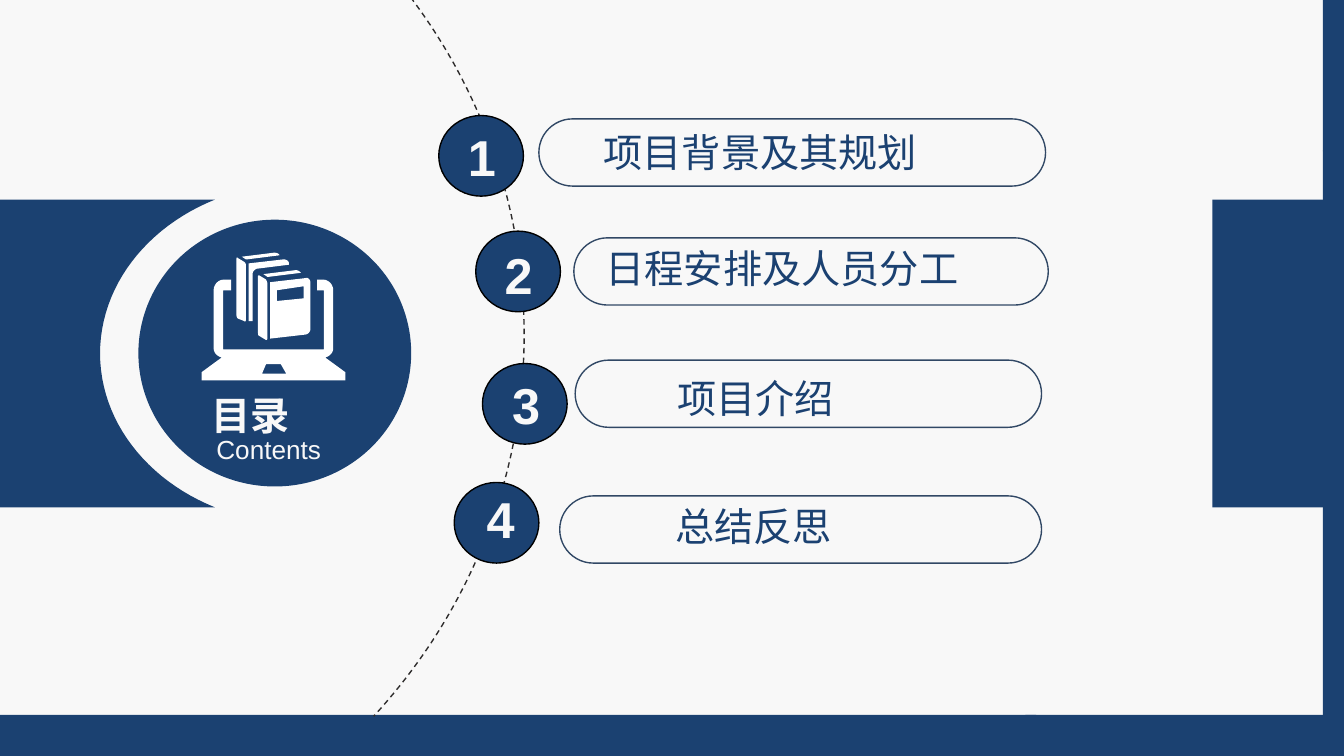
from lxml import etree
from pptx import Presentation
from pptx.dml.color import RGBColor
from pptx.enum.dml import MSO_LINE
from pptx.enum.shapes import MSO_SHAPE
from pptx.enum.text import MSO_ANCHOR, MSO_AUTO_SIZE, PP_ALIGN
from pptx.oxml.ns import qn
from pptx.util import Inches, Pt

RECT, OVAL, PILL = MSO_SHAPE.RECTANGLE, MSO_SHAPE.OVAL, MSO_SHAPE.ROUNDED_RECTANGLE
LEFT, MID, JUST = PP_ALIGN.LEFT, PP_ALIGN.CENTER, PP_ALIGN.JUSTIFY
TOP, FIXED, DASH = MSO_ANCHOR.TOP, MSO_AUTO_SIZE.NONE, MSO_LINE.DASH

THEME = {
    "navy": "1B4171", "pale": "F8F8F8", "white": "FFFFFF",
    "ring": "000000", "edge": "314865", "arc": "2E2C2C",
    "latin": "Arial", "asian": "Noto Sans CJK SC",
    "item": 21, "badge": 27, "small": 14,
}

# The grid is 100 columns wide; its cells are square, so a 16:9 slide has 56.25 rows.
COLS, ROWS = 100, 56.25
CELL = Inches(10) / COLS

deck = Presentation()
deck.slide_width, deck.slide_height = round(COLS * CELL), round(ROWS * CELL)
slide = deck.slides.add_slide(deck.slide_layouts[5])
shapes = slide.shapes
slide.background.fill.solid()
slide.background.fill.fore_color.rgb = RGBColor.from_string(THEME["pale"])


def paint(shape, fill=None, line=None, width=0.75):
    shape.shadow.inherit = False
    if fill:
        shape.fill.solid()
        shape.fill.fore_color.rgb = RGBColor.from_string(THEME[fill])
    else:
        shape.fill.background()
    if line:
        shape.line.color.rgb = RGBColor.from_string(THEME[line])
        shape.line.width = Pt(width)
    else:
        shape.line.fill.background()


def write(box, text, size="item", color="pale", bold=False, align=LEFT, wrap=True, inset=0.9):
    frame = box.text_frame
    frame.auto_size, frame.word_wrap = FIXED, wrap
    frame.vertical_anchor = TOP
    frame.margin_left, frame.margin_right = round(inset * CELL), round(0.9 * CELL)
    frame.margin_top = frame.margin_bottom = round(0.45 * CELL)
    para = frame.paragraphs[0]
    para.alignment = align
    run = para.add_run()
    run.text = text
    run.font.size, run.font.bold = Pt(THEME[size]), bold
    run.font.color.rgb = RGBColor.from_string(THEME[color])
    run.font.name = THEME["latin"]
    east = etree.SubElement(run._r.get_or_add_rPr(), qn("a:ea"))
    east.set("typeface", THEME["asian"])


# Frame bars, right block and title disc
for kind, box in [
    (RECT, (98.43, 0, 1.57, 11.25)),
    (RECT, (98.43, 11.2, 1.57, 45.05)),
    (RECT, (0, 53.2, 77.1, 3.05)),
    (RECT, (76.3, 53.2, 23.6, 3.05)),
    (RECT, (90.2, 14.85, 9.8, 22.9)),
    (OVAL, (10.3, 16.35, 20.3, 19.85)),
]:
    paint(shapes.add_shape(kind, *[round(n * CELL) for n in box]), "navy")

# Outlines: two numbers end a straight line, six give a curve
band = [[(16, 37.75), (0, 37.75), (0, 14.85), (16, 14.85),
         (10.9, 16.9, 7.45, 21.3, 7.45, 26.3), (7.45, 31.3, 10.9, 35.7, 16, 37.75)]]
arc = [[(27.8, -3.5), (34.8, 4.1, 39, 14, 39, 24.9), (39, 35.7, 34.8, 45.7, 27.8, 53.3)]]
icon = [
    # keyboard notch
    [(19.8, 27.1), (20.9, 27.1), (21.3, 27.8), (19.5, 27.8)],
    # back book: top, spine
    [(18, 19.1), (18.3, 19.3), (18.4, 19.3), (20.8, 19),
     (20.8, 18.9, 20.6, 18.8, 20.4, 18.8)],
    [(17.7, 19.2), (18.2, 19.5), (18.2, 19.5, 18.3, 19.6, 18.3, 19.7), (18.3, 23.8),
     (18.3, 23.9, 18.2, 24, 18.2, 23.9), (17.7, 23.7),
     (17.6, 23.6, 17.6, 23.5, 17.6, 23.4), (17.6, 19.3),
     (17.6, 19.2, 17.6, 19.1, 17.7, 19.2)],
    # front book: top, spine, cover, label
    [(19.6, 20.4), (19.9, 20.6), (20, 20.6), (22.4, 20.3),
     (22.3, 20.2, 22.2, 20.1, 22, 20.1)],
    [(19.3, 20.5), (19.8, 20.8), (19.8, 20.8, 19.9, 21, 19.9, 21.1), (19.9, 25.2),
     (19.9, 25.3, 19.8, 25.3, 19.8, 25.3), (19.3, 25),
     (19.2, 25, 19.2, 24.8, 19.2, 24.7), (19.2, 20.6),
     (19.2, 20.5, 19.2, 20.5, 19.3, 20.5)],
    [(20.1, 21), (22.7, 20.7), (22.9, 20.6, 23.1, 20.8, 23.1, 21), (23.1, 24.5),
     (23.1, 24.7, 22.9, 24.9, 22.7, 24.9), (20.1, 25.2)],
    [(20.6, 21.6), (22.6, 21.3), (22.6, 22.2), (20.6, 22.4)],
    # back cover
    [(18.5, 19.6), (21.1, 19.3), (21.3, 19.3, 21.5, 19.4, 21.5, 19.6), (21.5, 19.7),
     (19.1, 20), (18.9, 20.1, 18.8, 20.2, 18.8, 20.4), (18.8, 23.9), (18.5, 23.9)],
    # laptop
    [(16.6, 21.6), (17.2, 21.6), (17.2, 20.8), (16.7, 20.8),
     (16.2, 20.8, 15.9, 21.2, 15.9, 21.6), (15.9, 25.9),
     (15.9, 26.2, 16.1, 26.5, 16.5, 26.6), (15, 27.7), (15, 28.3), (25.7, 28.3),
     (25.7, 27.7), (24.2, 26.6), (24.6, 26.5, 24.8, 26.2, 24.8, 25.9), (24.8, 21.6),
     (24.8, 21.2, 24.5, 20.8, 24, 20.8), (23.6, 20.8), (23.6, 21.6), (24.1, 21.6),
     (24.1, 26), (16.6, 26)],
]
for loops, steps, fill, line in [
    (band, 24, "navy", None), (arc, 40, None, "arc"), (icon, 6, "white", None),
]:
    pen = None
    for loop in loops:
        points = [loop[0]]
        for part in loop[1:]:
            if len(part) == 2:
                points.append(part)
                continue
            knots = [points[-1], part[:2], part[2:4], part[4:]]
            for step in range(1, steps + 1):
                t = step / steps
                share = ((1 - t) ** 3, 3 * t * (1 - t) ** 2, 3 * t * t * (1 - t), t ** 3)
                points.append(tuple(sum(s * k[axis] for s, k in zip(share, knots))
                                    for axis in (0, 1)))
        points = [(x * CELL, y * CELL) for x, y in points]
        if pen is None:
            pen = shapes.build_freeform(*points[0])
        else:
            pen.move_to(*points[0])
        pen.add_line_segments(points[1:], close=fill is not None)
    shape = pen.convert_to_shape()
    paint(shape, fill, line, 0)
    if line:
        shape.line.dash_style = DASH

# Agenda: label, badge corner, pill (left, top, width), digit corner,
# label box (left, top, width) and its left inset
agenda = [
    ("项目背景及其规划", (32.65, 8.6), (40.1, 8.85, 37.7), (34, 8.9), (42.8, 9.1, 26.8), 2.1),
    ("日程安排及人员分工", (35.4, 17.2), (42.7, 17.7, 35.3), (36.75, 17.75), (42.2, 17.7, 36.3), 2.85),
    ("项目介绍", (35.9, 27.05), (42.8, 26.8, 34.7), (37.3, 27.4), (46.3, 27.4, 17.7), 4.1),
    ("总结反思", (33.8, 35.9), (41.65, 36.9, 35.85), (35.4, 35.9), (45.4, 36.9, 18.6), 4.85),
]
for count, (label, badge, pill, digit, box, inset) in enumerate(agenda, 1):
    disc = shapes.add_shape(OVAL, *[round(n * CELL) for n in (*badge, 6.3, 6)])
    paint(disc, "navy", "ring")
    frame = shapes.add_shape(PILL, *[round(n * CELL) for n in (*pill, 5)])
    frame.adjustments[0] = 0.5
    paint(frame, None, "edge")
    write(shapes.add_textbox(*[round(n * CELL) for n in (*box, 4.4)]), label,
          color="navy", inset=inset)
    write(shapes.add_textbox(*[round(n * CELL) for n in (*digit, 3.7, 5.4)]), str(count),
          size="badge", bold=True, align=MID, wrap=False)

# Title, brought in front of its disc
title = shapes.title
title.left, title.top, title.width, title.height = [
    round(n * CELL) for n in (14.85, 28.65, 10, 4.4)]
write(title, "目录", bold=True, align=JUST)
title.element.getparent().append(title.element)
write(shapes.add_textbox(*[round(n * CELL) for n in (15.2, 31.8, 9.7, 3.3)]), "Contents",
      size="small", wrap=False)

deck.save("out.pptx")
